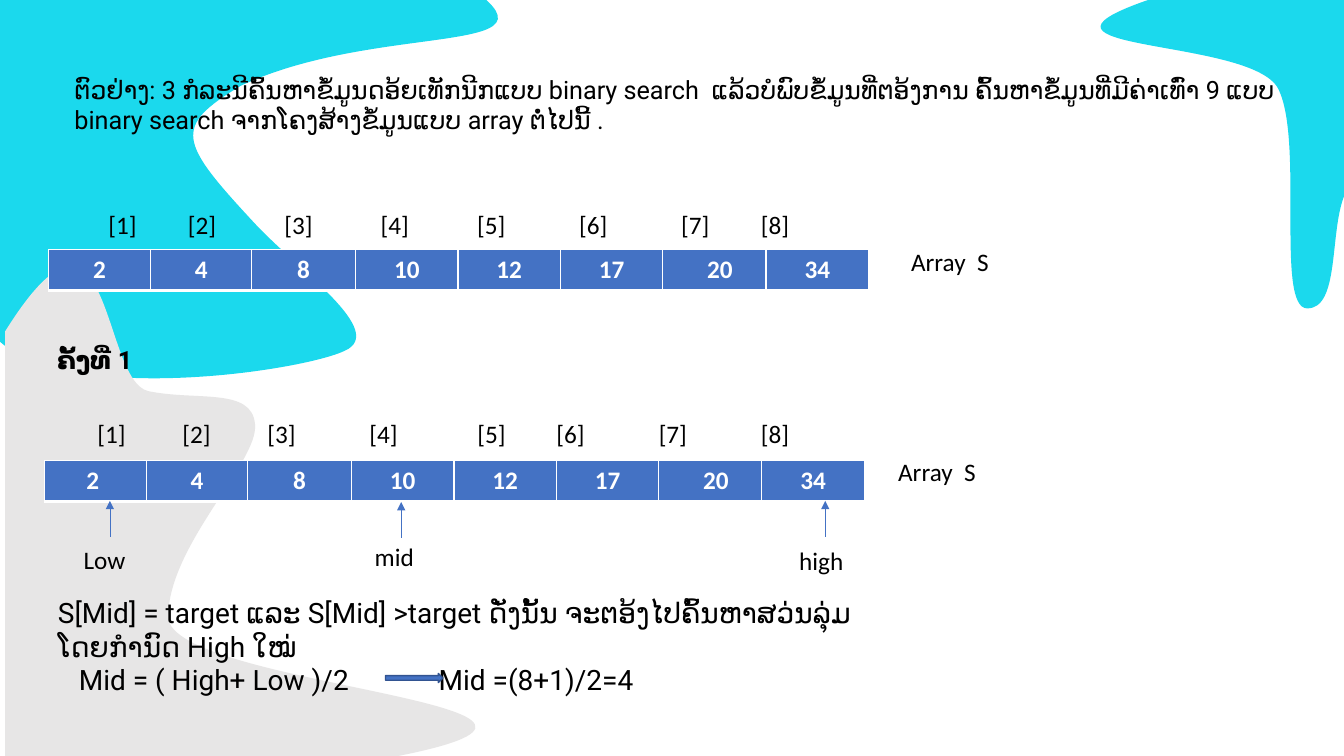
from lxml import etree
from pptx import Presentation
from pptx.dml.color import RGBColor
from pptx.enum.shapes import MSO_CONNECTOR, MSO_SHAPE
from pptx.enum.text import MSO_AUTO_SIZE, PP_ALIGN
from pptx.oxml.ns import qn
from pptx.util import Pt

CYAN = RGBColor(0x1B, 0xD9, 0xED)
GRAY = RGBColor(0xE7, 0xE6, 0xE6)
BLUE = RGBColor(0x44, 0x72, 0xC4)
DARK_BLUE = RGBColor(0x32, 0x54, 0x91)
BLACK = RGBColor(0, 0, 0)
WHITE = RGBColor(0xFF, 0xFF, 0xFF)

deck = Presentation()
deck.slide_width, deck.slide_height = Pt(960), Pt(540)
page = deck.slides.add_slide(deck.slide_layouts[6])


def style_text(frame, font_name, size, color, bold=False):
    for para in frame.paragraphs:
        for span in para.runs:
            span.font.name = font_name
            span.font.size = Pt(size)
            span.font.bold = bold
            span.font.color.rgb = color


def add_text(text, left, top, width, height, font_name="Calibri", size=18, bold=False, tabs=()):
    """Add a wrapping text box; tabs are left tab stops of its last paragraph."""
    box = page.shapes.add_textbox(Pt(left), Pt(top), Pt(width), Pt(height))
    frame = box.text_frame
    frame.word_wrap = True
    frame.auto_size = MSO_AUTO_SIZE.SHAPE_TO_FIT_TEXT
    frame.text = text
    style_text(frame, font_name, size, BLACK, bold)
    if tabs:
        para_props = frame.paragraphs[-1]._p.get_or_add_pPr()
        tab_list = etree.SubElement(para_props, qn("a:tabLst"))
        for stop in tabs:
            etree.SubElement(tab_list, qn("a:tab"), pos=str(Pt(stop)), algn="l")


# Background blobs: frame, start point, then lines (2 numbers) and Bézier curves (6 numbers)
blobs = [
    (CYAN, (0, -26.6, 355.7, 296.6), (0, -25.9), [
        (307.4, -26.6),
        (435.6, 46.8, 280.1, 10.8, 172.1, 61.2),
        (123.1, 90.7, 127.4, 100.8, 182.2, 159.8),
        (213.1, 193, 277.2, 236.9, 246.2, 250.6),
        (216, 265, 51.8, 289.4, 0, 244.1),
        (0, -25.9),
    ]),
    (GRAY, (3.6, 190.1, 336.2, 352.8), (3.6, 236.9), [
        (79.9, 114.5, 72, 271.4, 105.8, 279.4),
        (140.4, 286.6, 180, 276.5, 182.2, 303.1),
        (185, 329.8, 120.2, 389.5, 120.2, 440.6),
        (120.2, 491.8, 490.3, 503.3, 269.3, 542.9),
        (3.6, 542.9),
        (3.6, 236.9),
    ]),
    (CYAN, (786.2, 0, 173.8, 220.3), (820.1, 0), [
        (960, 0),
        (960, 140.4),
        (949.7, 167, 956.9, 220.3, 933.8, 220.3),
        (910.8, 220.3, 931.7, 100.1, 913, 63.4),
        (894.2, 26.6, 712.1, 37.4, 820.1, 0),
    ]),
]
for color, (left, top, width, height), start, segments in blobs:
    builder = page.shapes.build_freeform(Pt(start[0]), Pt(start[1]))
    builder.add_line_segments([(Pt(segment[-2]), Pt(segment[-1])) for segment in segments])
    blob = builder.convert_to_shape()
    blob.left, blob.top, blob.width, blob.height = Pt(left), Pt(top), Pt(width), Pt(height)
    outline = next(blob._element.iter(qn("a:path")))
    outline.set("w", str(Pt(width)))
    outline.set("h", str(Pt(height)))
    for command in list(outline):
        outline.remove(command)
    for index, numbers in enumerate([start, *segments]):
        tag = "a:moveTo" if index == 0 else "a:lnTo" if len(numbers) == 2 else "a:cubicBezTo"
        command = etree.SubElement(outline, qn(tag))
        for x, y in zip(numbers[::2], numbers[1::2]):
            etree.SubElement(command, qn("a:pt"), x=str(Pt(x - left)), y=str(Pt(y - top)))
    etree.SubElement(outline, qn("a:close"))
    blob.shadow.inherit = False
    blob.fill.solid()
    blob.fill.fore_color.rgb = color
    blob.line.fill.background()

# Headings and explanation
add_text("ຕົວຢ່າງ: 3 ກໍລະນີຄົ້ນຫາຂໍ້ມູນດອ້ຍເທັກນີກແບບ binary search  ແລ້ວບໍພົບຂໍ້ມູນທີ່ຕອ້ງການ "
         "ຄົ້ນຫາຂໍ້ມູນທີ່ມີຄ່າເທົ່າ 9 ແບບ binary search ຈາກໂຄງສ້າງຂໍ້ມູນແບບ array ຕໍ່ໄປນີ້ .",
         46.1, 49.3, 881.3, 51, "Roboto")
add_text("ຄັ້ງທີ່ 1", 33.8, 242.6, 90, 29, "Roboto", bold=True)
add_text("S[Mid] = target ແລະ S[Mid] >target ດັ່ງນັ້ນ ຈະຕອ້ງໄປຄົ້ນຫາສວ່ນລຸ່ມ ໂດຍກຳນົດ High ໃໝ່\n"
         "\tMid = ( High+ Low )/2\tMid =(8+1)/2=4",
         34.3, 421.9, 592.6, 105.8, "Roboto", 20, tabs=(15, 272))

result_arrow = page.shapes.add_shape(MSO_SHAPE.RIGHT_ARROW, Pt(275.4), Pt(481), Pt(41), Pt(6.5))
result_arrow.shadow.inherit = False
result_arrow.fill.solid()
result_arrow.fill.fore_color.rgb = BLUE
result_arrow.line.color.rgb = DARK_BLUE
result_arrow.line.width = Pt(1)

# Array drawings: table corner, index box corner, index tab stops, caption corner
values = ["2", "4", "8", "10", "12", "17", "20", "34"]
column_widths = [73.1, 72, 74.3, 73.2, 73.2, 73.1, 73.7, 73.4]
index_text = "".join(f"\t[{number}]" for number in range(1, len(values) + 1))
arrays = [
    ((34.6, 178.2), (54, 145.8), (16.4, 73.1, 142.1, 210.9, 279.8, 352.7, 425.5, 482.4), (643.7, 172.4)),
    ((31.7, 329), (46.1, 295.2), (16.4, 77.1, 137.8, 210.7, 287.8, 344.3, 417.4, 490.3), (634.5, 322.6)),
]
for number, (corner, index_corner, index_tabs, caption_corner) in enumerate(arrays):
    add_text(index_text, *index_corner, 761, 29, tabs=index_tabs)
    add_text("Array  S", *caption_corner, 98.6, 29)
    frame = page.shapes.add_table(1, len(values), Pt(corner[0]), Pt(corner[1]),
                                  Pt(sum(column_widths)), Pt(29.2))
    table = frame.table
    for column, (value, width) in enumerate(zip(values, column_widths)):
        table.columns[column].width = Pt(width)
        cell = table.cell(0, column)
        cell.text = value
        cell.text_frame.paragraphs[0].alignment = PP_ALIGN.CENTER
        style_text(cell.text_frame, "Calibri", 18, WHITE, bold=True)
        if value == "20":
            cell.margin_left = Pt(15.2)
        if value == "2" and number == 1:
            cell.margin_right = Pt(11.2)
        cell_props = cell._tc.get_or_add_tcPr()
        for side, thickness in (("L", 1), ("R", 1), ("T", 1), ("B", 3)):
            border = etree.SubElement(cell_props, qn(f"a:ln{side}"), w=str(Pt(thickness)))
            border_fill = etree.SubElement(border, qn("a:solidFill"))
            etree.SubElement(border_fill, qn("a:srgbClr"), val=str(WHITE))
        cell.fill.solid()
        cell.fill.fore_color.rgb = BLUE

# Pointers below the second array: label, arrow x, arrow tip, label corner
pointers = [
    ("Low", 78.5, 357.8, 52.6, 385.2),
    ("mid", 286.6, 358.6, 260.6, 383),
    ("high", 589.5, 357.8, 563.8, 385.9),
]
for label, arrow_x, tip_y, label_left, label_top in pointers:
    arrow = page.shapes.add_connector(MSO_CONNECTOR.STRAIGHT, Pt(arrow_x), Pt(tip_y + 25.5),
                                      Pt(arrow_x), Pt(tip_y))
    arrow.line.color.rgb = BLUE
    arrow.line.width = Pt(0.5)
    etree.SubElement(arrow.line._get_or_add_ln(), qn("a:tailEnd"), type="triangle")
    etree.SubElement(arrow._element.spPr, qn("a:effectLst"))
    add_text(label, label_left, label_top, 51.8, 29)

deck.save("out.pptx")
